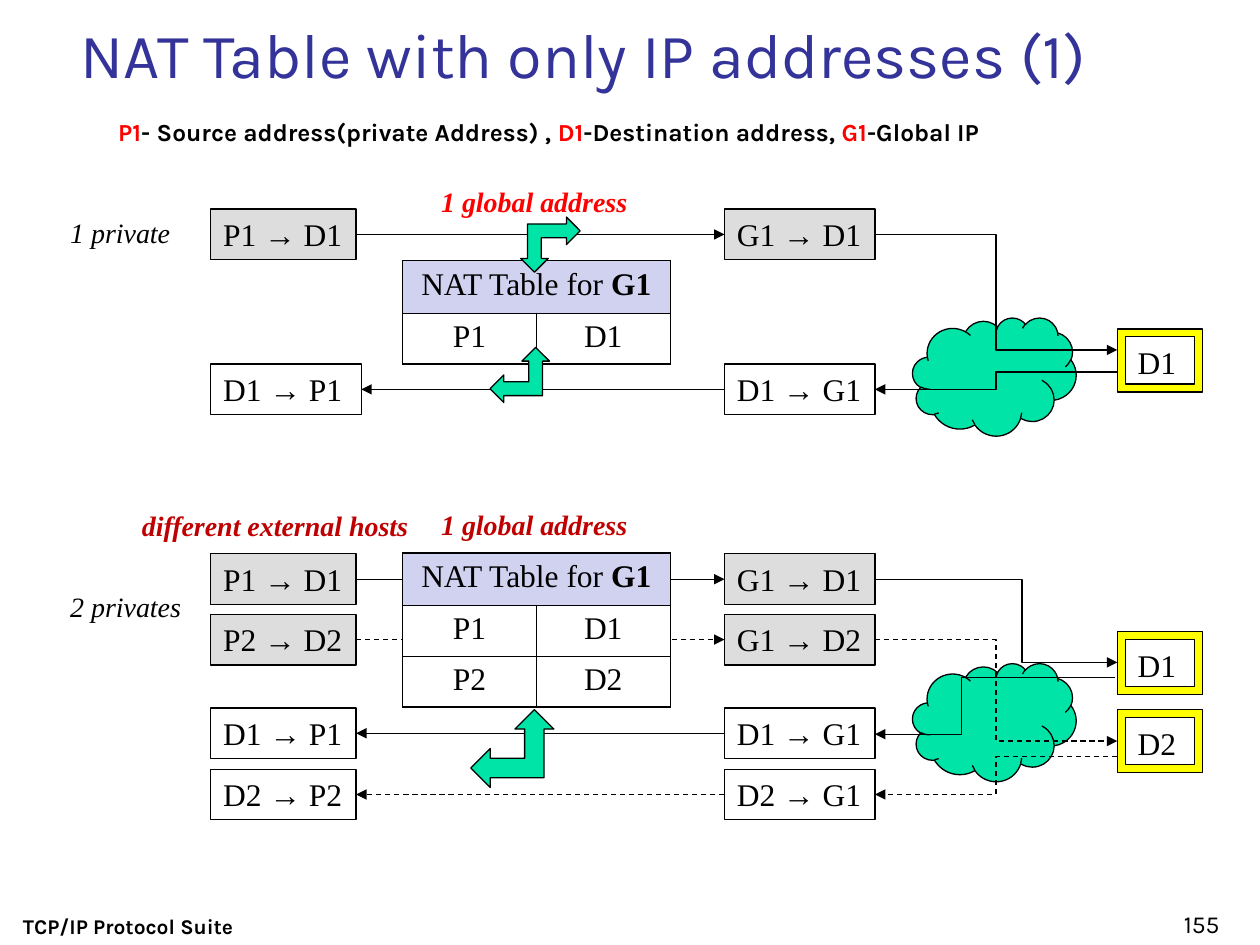
from dataclasses import dataclass

from lxml.etree import SubElement
from pptx import Presentation
from pptx.dml.color import RGBColor
from pptx.enum.dml import MSO_LINE
from pptx.enum.shapes import MSO_CONNECTOR, MSO_SHAPE
from pptx.enum.text import MSO_ANCHOR, MSO_AUTO_SIZE, PP_ALIGN
from pptx.oxml.ns import qn
from pptx.util import Pt


@dataclass(frozen=True)
class Theme:
    heading: str = "Karla"
    body: str = "Times New Roman"
    title: str = "333399"
    ink: str = "000000"
    white: str = "FFFFFF"
    red: str = "FF0000"
    dark_red: str = "C00000"
    grey: str = "DDDDDD"
    lilac: str = "D1D1F0"
    green: str = "00E4A8"
    yellow: str = "FFFF00"
    title_size: int = 36
    box_size: int = 18
    caption_size: int = 16
    note_size: int = 14
    footer_size: int = 12
    line: float = 0.75


theme = Theme()


def add_box(kind, left, top, width, height, fill, text=""):
    box = page.shapes.add_shape(kind, Pt(left), Pt(top), Pt(width), Pt(height))
    box.shadow.inherit = False
    if fill:
        box.fill.solid()
        box.fill.fore_color.rgb = RGBColor.from_string(fill)
    else:
        box.fill.background()
    box.line.color.rgb = RGBColor.from_string(theme.ink)
    box.line.width = Pt(theme.line)
    if text:
        frame = box.text_frame
        frame.text = text
        frame.vertical_anchor = MSO_ANCHOR.TOP
        para = frame.paragraphs[0]
        para.alignment = PP_ALIGN.LEFT
        para.font.name = theme.body
        para.font.size = Pt(theme.box_size)
        para.font.color.rgb = RGBColor.from_string(theme.ink)
    return box


def add_arrow(kind, x1, y1, x2, y2, dashed):
    arrow = page.shapes.add_connector(kind, Pt(x1), Pt(y1), Pt(x2), Pt(y2))
    arrow.line.color.rgb = RGBColor.from_string(theme.ink)
    arrow.line.width = Pt(theme.line)
    if dashed:
        arrow.line.dash_style = MSO_LINE.DASH
    properties = arrow.element.spPr
    SubElement(properties.find(qn("a:ln")), qn("a:tailEnd"), type="triangle")
    SubElement(properties, qn("a:effectLst"))
    return arrow


deck = Presentation()
deck.slide_width, deck.slide_height = Pt(720), Pt(540)
page = deck.slides.add_slide(deck.slide_layouts[5])

# Title
title = page.shapes.title
title.left, title.top, title.width, title.height = Pt(39), Pt(5), Pt(648), Pt(50.5)
title.text_frame.text = "NAT Table with only IP addresses (1)"
title.text_frame.auto_size = MSO_AUTO_SIZE.NONE
title.text_frame.vertical_anchor = MSO_ANCHOR.MIDDLE
para = title.text_frame.paragraphs[0]
para.alignment = PP_ALIGN.LEFT
para.font.name = theme.heading
para.font.size = Pt(theme.title_size)
para.font.color.rgb = RGBColor.from_string(theme.title)

# Clouds
for top in (181.5, 379):
    add_box(MSO_SHAPE.CLOUD, 521.5, top, 93.5, 67.5, theme.green)

# Packets on both sides of the translator, joined by straight arrows
packet_rows = [  # top, left text, left width, right text, outgoing, dashed
    (119.5, "P1 → D1", 83, "G1 → D1", True, False),
    (208, "D1 → P1", 86, "D1 → G1", False, False),
    (316.5, "P1 → D1", 83, "G1 → D1", True, False),
    (351, "P2 → D2", 83, "G1 → D2", True, True),
    (404.5, "D1 → P1", 83, "D1 → G1", False, False),
    (439.5, "D2 → P2", 83, "D2 → G1", False, True),
]
for top, private_text, private_width, global_text, outgoing, dashed in packet_rows:
    fill = theme.grey if outgoing else None
    private = add_box(MSO_SHAPE.RECTANGLE, 120.5, top, private_width, 29, fill, private_text)
    public = add_box(MSO_SHAPE.RECTANGLE, 414, top, 86, 29, fill, global_text)
    for box in (private, public):
        box.text_frame.word_wrap = False
        box.text_frame.auto_size = MSO_AUTO_SIZE.SHAPE_TO_FIT_TEXT
    arrow = add_arrow(MSO_CONNECTOR.STRAIGHT, 0, 0, 0, 0, dashed)
    if outgoing:
        arrow.begin_connect(private, 3)
        arrow.end_connect(public, 1)
    else:
        arrow.begin_connect(public, 1)
        arrow.end_connect(private, 3)

# Bent arrows between the packets and the external hosts
routes = [  # start x, start y, end x, end y, bend in percent, dashed
    (500, 134, 638.5, 200, 50, False),
    (638.5, 212.5, 500, 222.5, 50, False),
    (500, 331, 638.5, 378.5, 60.7, False),
    (500, 365.5, 638.5, 423.5, 50, True),
    (637, 387, 500, 419.5, 64, False),
    (638.5, 432.5, 500, 454, 50, True),
]
for x1, y1, x2, y2, bend, dashed in routes:
    arrow = add_arrow(MSO_CONNECTOR.ELBOW, x1, y1, x2, y2, dashed)
    guides = arrow.element.spPr.find(qn("a:prstGeom")).get_or_add_avLst()
    SubElement(guides, qn("a:gd"), name="adj1", fmla=f"val {round(bend * 1000)}")

# External hosts
for top, name in ((188, "D1"), (361, "D1"), (405.5, "D2")):
    add_box(MSO_SHAPE.FRAME, 638.5, top, 48.5, 36, theme.yellow, name)

# NAT tables
for top, entries in ((149, [("P1", "D1")]), (316, [("P1", "D1"), ("P2", "D2")])):
    height = 30 + 29 * len(entries)
    table = page.shapes.add_table(len(entries) + 1, 2, Pt(230), Pt(top), Pt(153), Pt(height)).table
    table.first_row = table.horz_banding = False
    table.cell(0, 0).merge(table.cell(0, 1))
    for index, texts in enumerate([("NAT Table for ", "")] + entries):
        table.rows[index].height = Pt(29 if index else 30)
        for column, text in enumerate(texts):
            cell = table.cell(index, column)
            for side in ("lnL", "lnR", "lnT", "lnB"):
                border = SubElement(cell._tc.get_or_add_tcPr(), qn(f"a:{side}"), w=str(Pt(theme.line)))
                SubElement(SubElement(border, qn("a:solidFill")), qn("a:srgbClr"), val=theme.ink)
            cell.fill.solid()
            cell.fill.fore_color.rgb = RGBColor.from_string(theme.white if index else theme.lilac)
            para = cell.text_frame.paragraphs[0]
            para.text = text
            para.alignment = PP_ALIGN.CENTER
            if index == 0 and column == 0:
                span = para.add_run()
                span.text = "G1"
                span.font.bold = True
            for span in para.runs:
                span.font.name = theme.body
                span.font.size = Pt(theme.box_size)
                span.font.color.rgb = RGBColor.from_string(theme.ink)

# Lookup arrows at the tables
for left, top, width, height, turn in (
    (297.5, 124, 34, 31.5, 180),
    (280, 198.5, 34, 31.5, 0),
    (269, 405.5, 47.5, 44.5, 0),
):
    lookup = add_box(MSO_SHAPE.LEFT_UP_ARROW, left, top, width, height, theme.green)
    lookup.rotation = turn

# Captions
captions = [  # left, top, width, text, colour, bold
    (33, 119.5, 73, "1 private", theme.ink, False),
    (245, 102, 122, "1 global address", theme.red, True),
    (33, 333.5, 79, "2 privates", theme.ink, False),
    (245, 286.5, 122, "1 global address", theme.dark_red, True),
    (74, 287, 169, "different external hosts", theme.dark_red, True),
]
for left, top, width, text, color, bold in captions:
    caption = page.shapes.add_textbox(Pt(left), Pt(top), Pt(width), Pt(26.5))
    caption.text_frame.text = text
    caption.text_frame.word_wrap = False
    caption.text_frame.auto_size = MSO_AUTO_SIZE.SHAPE_TO_FIT_TEXT
    font = caption.text_frame.paragraphs[0].font
    font.name, font.size = theme.body, Pt(theme.caption_size)
    font.bold, font.italic = bold, True
    font.color.rgb = RGBColor.from_string(color)

# Legend
legend = page.shapes.add_textbox(Pt(60.5), Pt(63.5), Pt(612.5), Pt(24.5))
legend.text_frame.word_wrap = True
for term, meaning in (
    ("P1", "- Source address(private Address) , "),
    ("D1", "-Destination address, "),
    ("G1", "-Global IP"),
):
    for text, color in ((term, theme.red), (meaning, theme.ink)):
        span = legend.text_frame.paragraphs[0].add_run()
        span.text = text
        span.font.name, span.font.size = theme.heading, Pt(theme.note_size)
        span.font.bold = True
        span.font.color.rgb = RGBColor.from_string(color)

# Footer and page number
for left, width, text, size, bold, alignment in (
    (6, 228, "TCP/IP Protocol Suite", theme.footer_size, True, PP_ALIGN.LEFT),
    (554.5, 149.5, "155", theme.note_size, False, PP_ALIGN.RIGHT),
):
    footer = page.shapes.add_textbox(Pt(left), Pt(504), Pt(width), Pt(36))
    footer.text_frame.text = text
    footer.text_frame.word_wrap = True
    footer.text_frame.vertical_anchor = MSO_ANCHOR.BOTTOM
    para = footer.text_frame.paragraphs[0]
    para.alignment = alignment
    para.font.name, para.font.size, para.font.bold = theme.heading, Pt(size), bold
    para.font.color.rgb = RGBColor.from_string(theme.ink)

deck.save("out.pptx")
